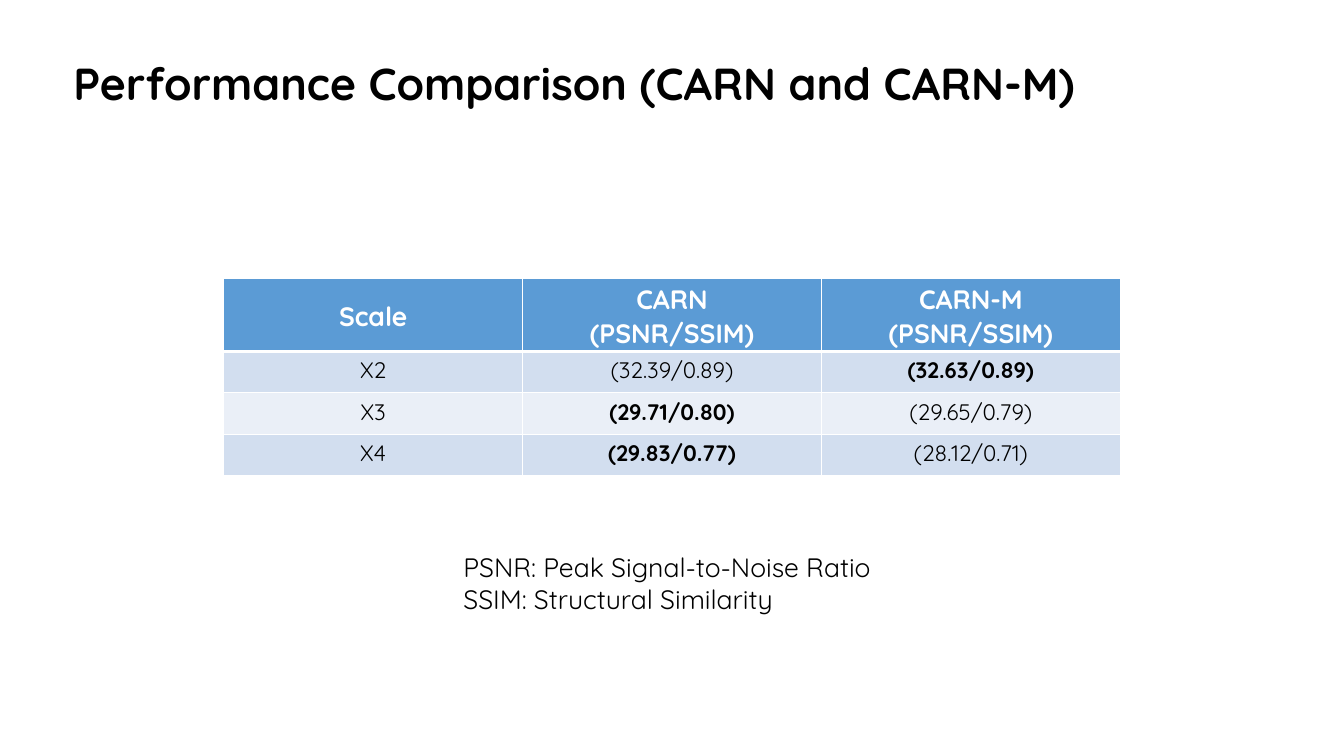
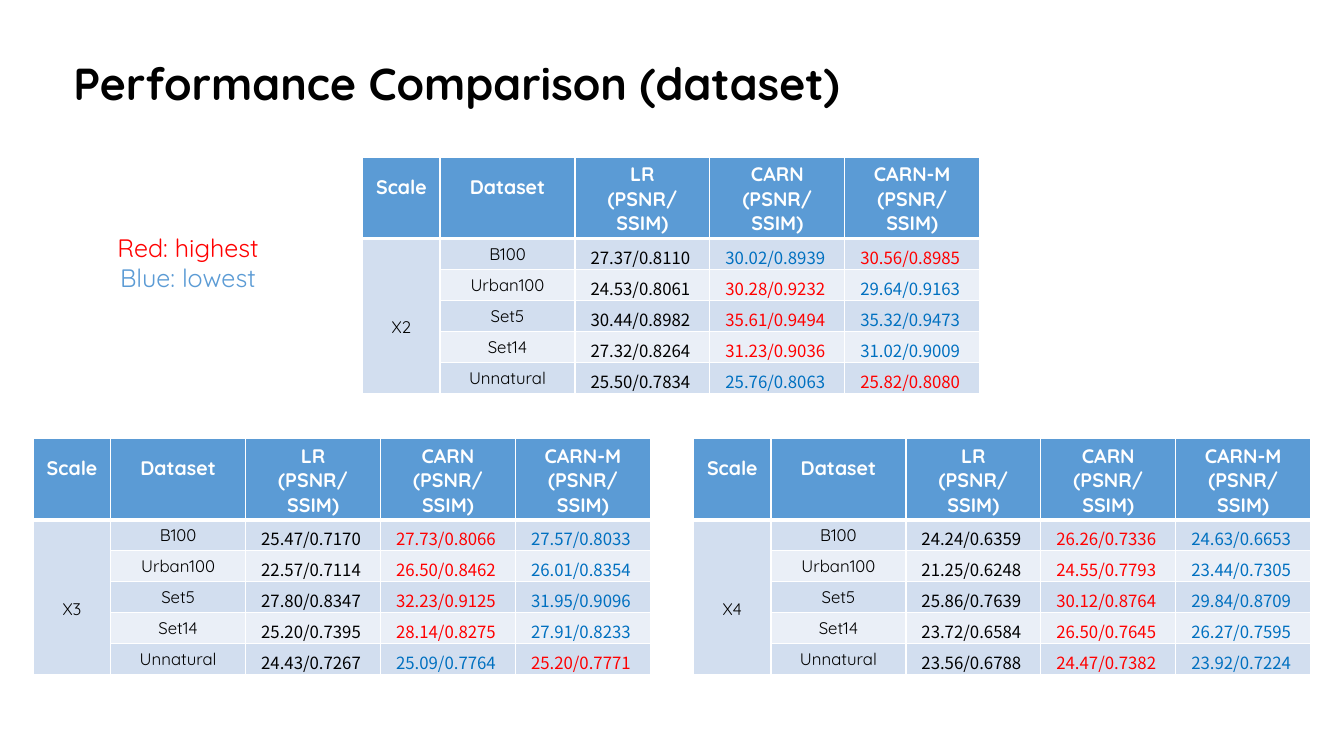
from lxml import etree
from pptx import Presentation
from pptx.dml.color import RGBColor
from pptx.enum import text
from pptx.oxml import ns
from pptx.util import Cm, Pt

BLACK = RGBColor(0x00, 0x00, 0x00)
WHITE = RGBColor(0xFF, 0xFF, 0xFF)
RED = RGBColor(0xFF, 0x00, 0x00)
BLUE = RGBColor(0x00, 0x70, 0xC0)
HEADER = RGBColor(0x5B, 0x9B, 0xD5)
BANDS = (RGBColor(0xD2, 0xDE, 0xEF), RGBColor(0xEA, 0xEF, 0xF7))

FONT = "Quicksand"
NUMBER_FONT = "Noto Sans CJK SC"
CENTER = text.PP_ALIGN.CENTER
LEFT = text.PP_ALIGN.LEFT

METRICS = "(PSNR/SSIM)"
MODELS = ("CARN", "CARN-M")
DATASETS = ("B100", "Urban100", "Set5", "Set14", "Unnatural")

AVERAGES = (
    ("X2", "(32.39/0.89)", "(32.63/0.89)"),
    ("X3", "(29.71/0.80)", "(29.65/0.79)"),
    ("X4", "(29.83/0.77)", "(28.12/0.71)"),
)
BEST_COLUMNS = (2, 1, 1)

SCORES = (
    ("X2", 9.14, 3.96, (
        ("27.37/0.8110", "30.02/0.8939", "30.56/0.8985"),
        ("24.53/0.8061", "30.28/0.9232", "29.64/0.9163"),
        ("30.44/0.8982", "35.61/0.9494", "35.32/0.9473"),
        ("27.32/0.8264", "31.23/0.9036", "31.02/0.9009"),
        ("25.50/0.7834", "25.76/0.8063", "25.82/0.8080"),
    )),
    ("X3", 0.84, 11.05, (
        ("25.47/0.7170", "27.73/0.8066", "27.57/0.8033"),
        ("22.57/0.7114", "26.50/0.8462", "26.01/0.8354"),
        ("27.80/0.8347", "32.23/0.9125", "31.95/0.9096"),
        ("25.20/0.7395", "28.14/0.8275", "27.91/0.8233"),
        ("24.43/0.7267", "25.09/0.7764", "25.20/0.7771"),
    )),
    ("X4", 17.48, 11.05, (
        ("24.24/0.6359", "26.26/0.7336", "24.63/0.6653"),
        ("21.25/0.6248", "24.55/0.7793", "23.44/0.7305"),
        ("25.86/0.7639", "30.12/0.8764", "29.84/0.8709"),
        ("23.72/0.6584", "26.50/0.7645", "26.27/0.7595"),
        ("23.56/0.6788", "24.47/0.7382", "23.92/0.7224"),
    )),
)


def write(tf, lines, size, color=BLACK, bold=False, align=CENTER, font=FONT, spacing=None):
    for i, line in enumerate(lines):
        p = tf.paragraphs[0] if i == 0 else tf.add_paragraph()
        p.text = line
        p.alignment = align
        p.font.name = font
        p.font.size = Pt(size)
        p.font.bold = bold
        p.font.color.rgb = color
        if spacing:
            p.line_spacing = spacing


def add_text(s, left, top, width, height, lines, size, **style):
    tf = s.shapes.add_textbox(Cm(left), Cm(top), Cm(width), Cm(height)).text_frame
    tf.word_wrap = True
    write(tf, lines, size, **style)
    return tf


def add_titled_slide(prs, title):
    s = prs.slides.add_slide(prs.slide_layouts[6])
    add_text(s, 1.6, 1.27, 26.6, 1.63, [title], 32, bold=True, align=LEFT)
    return s


def set_borders(cell, row):
    widths = {"lnL": 1, "lnR": 1, "lnT": 3 if row == 1 else 1, "lnB": 3 if row == 0 else 1}
    tcPr = cell._tc.get_or_add_tcPr()
    for i, (tag, width) in enumerate(widths.items()):
        ln = etree.Element(ns.qn("a:" + tag), w=str(Pt(width)))
        fill = etree.SubElement(ln, ns.qn("a:solidFill"))
        etree.SubElement(fill, ns.qn("a:srgbClr"), val=str(WHITE))
        tcPr.insert(i, ln)


def add_table(s, left, top, widths, heights):
    frame = s.shapes.add_table(len(heights), len(widths), Cm(left), Cm(top),
                               Cm(sum(widths)), Cm(sum(heights)))
    table = frame.table
    for column, width in zip(table.columns, widths):
        column.width = Cm(width)
    for r, (row, height) in enumerate(zip(table.rows, heights)):
        row.height = Cm(height)
        for cell in row.cells:
            cell.fill.solid()
            cell.fill.fore_color.rgb = BANDS[(r - 1) % 2] if r else HEADER
            set_borders(cell, r)
    return table


def write_header(table, labels, size):
    headings = [[label] for label in labels[0]] + [[label, METRICS] for label in labels[1]]
    for cell, lines in zip(table.rows[0].cells, headings):
        cell.margin_bottom = Cm(0.05)
        write(cell.text_frame, lines, size, WHITE, bold=True,
              spacing=1.5 if len(lines) == 1 else None)


def write_score(cell, score, color):
    cell.vertical_anchor = text.MSO_ANCHOR.BOTTOM
    cell.margin_left = cell.margin_top = cell.margin_bottom = 0
    cell.margin_right = Cm(0.1)
    write(cell.text_frame, [score], 12, color, font=NUMBER_FONT)


def score_colors(scores):
    _, carn, carn_m = (float(score.split("/")[0]) for score in scores)
    return (BLACK, RED, BLUE) if carn > carn_m else (BLACK, BLUE, RED)


def add_average_table(s):
    table = add_table(s, 5.64, 7.01, [7.53] * 3, [1.85] + [1.04] * len(AVERAGES))
    write_header(table, (("Scale",), MODELS), 19)
    for r, (values, best) in enumerate(zip(AVERAGES, BEST_COLUMNS), 1):
        for c, value in enumerate(values):
            write(table.cell(r, c).text_frame, [value], 16, bold=c == best)


def add_score_table(s, scale, left, top, rows):
    table = add_table(s, left, top, [1.95] + [3.4] * 4, [2.05] + [0.78] * len(rows))
    write_header(table, (("Scale", "Dataset"), ("LR",) + MODELS), 14)
    table.cell(1, 0).merge(table.cell(len(rows), 0))
    write(table.cell(1, 0).text_frame, [scale], 12, spacing=4.5)
    for r, (dataset, scores) in enumerate(zip(DATASETS, rows), 1):
        write(table.cell(r, 1).text_frame, [dataset], 12)
        for c, (score, color) in enumerate(zip(scores, score_colors(scores)), 2):
            write_score(table.cell(r, c), score, color)


def main():
    prs = Presentation()
    prs.slide_width, prs.slide_height = Cm(33.87), Cm(19.05)

    s = add_titled_slide(prs, "Performance Comparison (CARN and CARN-M)")
    add_average_table(s)
    add_text(s, 11.43, 13.77, 11.02, 1.88,
             ["PSNR: Peak Signal-to-Noise Ratio", "SSIM: Structural Similarity"],
             19, align=LEFT)

    s = add_titled_slide(prs, "Performance Comparison (dataset)")
    for scale, left, top, rows in SCORES:
        add_score_table(s, scale, left, top, rows)
    tf = add_text(s, 2.57, 5.72, 4.34, 1.8, ["Red: highest", "Blue: lowest"], 18, color=RED)
    tf.paragraphs[1].font.color.rgb = HEADER

    prs.save("out.pptx")


if __name__ == "__main__":
    main()
